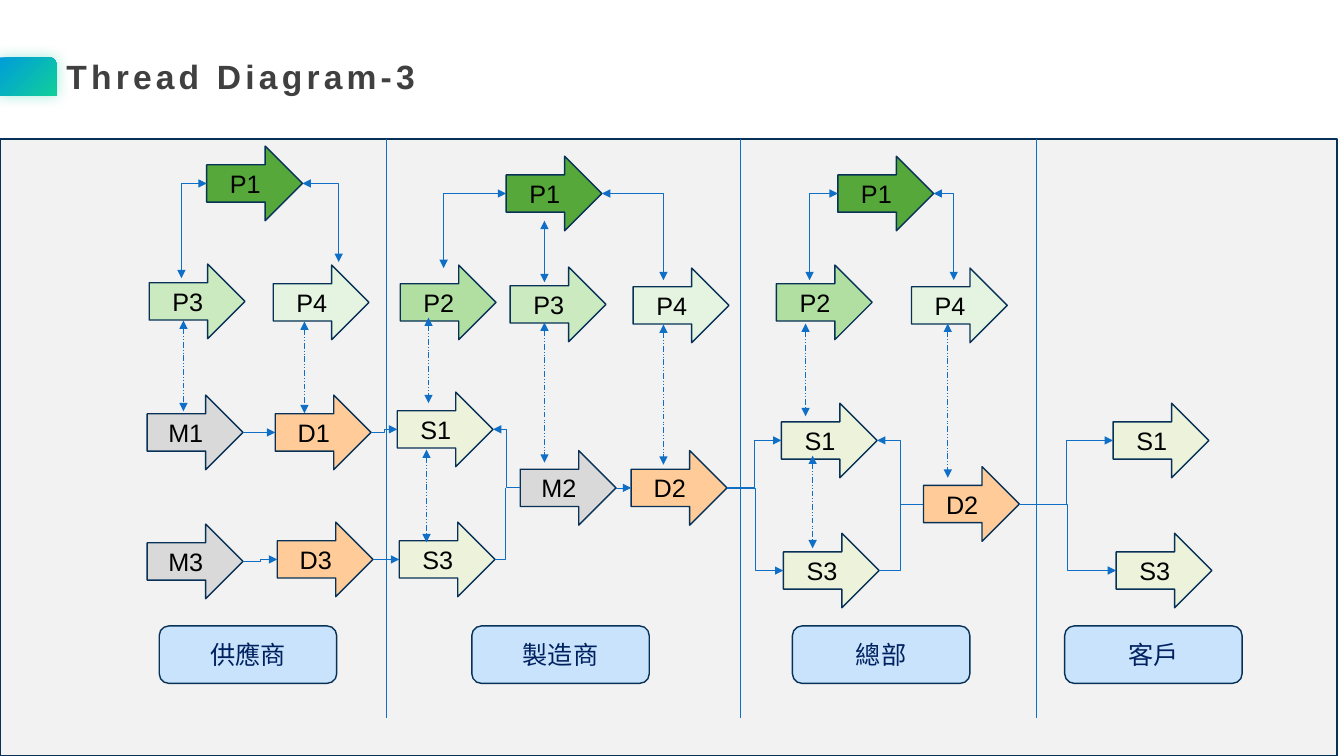
from lxml import etree
from pptx import Presentation
from pptx.dml.color import RGBColor
from pptx.enum.dml import MSO_LINE
from pptx.enum.shapes import MSO_CONNECTOR as Connector, MSO_SHAPE as Preset
from pptx.enum.text import MSO_ANCHOR as Anchor, PP_ALIGN as Align
from pptx.oxml import parse_xml
from pptx.oxml.ns import nsdecls, qn
from pptx.util import Inches, Pt

WHITE_GREY = RGBColor(0xF2, 0xF2, 0xF2)
OUTLINE = RGBColor(0x07, 0x31, 0x57)
FLOW_BLUE = RGBColor(0x0F, 0x6F, 0xC6)
LABEL_FILL = RGBColor(0xC8, 0xE3, 0xFB)
LABEL_TEXT = RGBColor(0x00, 0x20, 0x60)
TITLE_TEXT = RGBColor(0x40, 0x40, 0x40)
BLACK = RGBColor(0, 0, 0)
TAB_GREEN = RGBColor(0x10, 0xCF, 0x9B)
TAB_BLUE = RGBColor(0x00, 0x9D, 0xD9)
GREY = RGBColor(0xD9, 0xD9, 0xD9)
ORANGE = RGBColor(0xFF, 0xCC, 0x99)
LIME = RGBColor(0xED, 0xF3, 0xDB)
PROCESS_FILLS = {
    "P1": RGBColor(0x55, 0xA8, 0x39), "P2": RGBColor(0xB0, 0xDF, 0xA1),
    "P3": RGBColor(0xCB, 0xEA, 0xC0), "P4": RGBColor(0xE5, 0xF4, 0xE0),
    "M1": GREY, "M2": GREY, "M3": GREY,
    "D1": ORANGE, "D2": ORANGE, "D3": ORANGE, "S1": LIME, "S3": LIME,
}
LATIN, CHINESE = "Arial", "Noto Sans CJK SC"
ARROW_SIZE = (0.95, 0.74)
LABEL_SIZE = (1.76, 0.57)
LABEL_TOP = 4.83
LEFT_SITE, RIGHT_SITE = 1, 3
BOARD = (0, 1.38, 13.26, 6.12)

STAGES = [
    {"name": "供應商", "left": 0, "label": 1.58,
     "arrows": {"P1": (2.05, 0.07), "P3": (1.48, 1.24), "P4": (2.71, 1.25), "M1": (1.46, 2.54),
                "D1": (2.73, 2.54), "M3": (1.46, 3.82), "D3": (2.75, 3.8)},
     "branches": [(LEFT_SITE, 1.8, 1.38), (RIGHT_SITE, 3.36, 1.22)],
     "dashed": [(1.82, 1.8, 2.7), (3.02, 1.81, 2.72)]},
    {"name": "製造商", "left": 3.83, "label": 0.85,
     "arrows": {"P1": (1.19, 0.17), "P2": (0.14, 1.25), "P3": (1.23, 1.27), "P4": (2.45, 1.28),
                "S1": (0.11, 2.51), "S3": (0.13, 3.8), "M2": (1.33, 3.09), "D2": (2.43, 3.09)},
     "branches": [(LEFT_SITE, 0.57, 1.28), (RIGHT_SITE, 2.75, 1.4)],
     "solid": [(1.57, 0.81, 1.42)],
     "dashed": [(0.42, 1.77, 2.62), (0.4, 3.08, 4), (1.57, 1.82, 3.21), (2.75, 1.84, 3.23)],
     "merge": (1.18, 3.46)},
    {"name": "總部", "left": 7.34, "label": 0.52,
     "arrows": {"P1": (0.97, 0.17), "P2": (0.36, 1.25), "P4": (1.7, 1.28),
                "S1": (0.41, 2.62), "S3": (0.43, 3.91), "D2": (1.82, 3.25)},
     "branches": [(LEFT_SITE, 0.69, 1.4), (RIGHT_SITE, 2.12, 1.4)],
     "dashed": [(0.65, 1.83, 2.75), (0.72, 3.14, 4.06), (2.06, 1.83, 3.36)],
     "merge": (1.59, 3.62)},
    {"name": "客戶", "left": 10.28, "label": 0.28,
     "arrows": {"S1": (0.76, 2.62), "S3": (0.79, 3.91)}},
]
FORWARD_FLOWS = [
    ((0, "M1"), (0, "D1")), ((0, "M3"), (0, "D3")), ((0, "D1"), (1, "S1")), ((0, "D3"), (1, "S3")),
    ((1, "M2"), (1, "D2")), ((1, "D2"), (2, "S1")), ((1, "D2"), (2, "S3")),
    ((2, "D2"), (3, "S1")), ((2, "D2"), (3, "S3")),
]
RETURN_FLOWS = [((1, "M2"), (1, "S1")), ((2, "D2"), (2, "S1"))]


def set_font(paragraph, size, name, color, bold=False):
    font = paragraph.font
    font.size, font.name, font.bold = Pt(size), name, bold
    font.color.rgb = color
    properties = paragraph._p.pPr.find(qn("a:defRPr"))
    etree.SubElement(properties, qn("a:ea")).set("typeface", name)
    return properties


def add_box(slide, preset, box, fill, text="", font=LATIN, color=BLACK):
    shape = slide.shapes.add_shape(preset, *map(Inches, box))
    shape.shadow.inherit = False
    shape.fill.solid()
    shape.fill.fore_color.rgb = fill
    shape.line.color.rgb = OUTLINE
    shape.line.width = Pt(1)
    if text:
        shape.text_frame.vertical_anchor = Anchor.MIDDLE
        paragraph = shape.text_frame.paragraphs[0]
        paragraph.text = text
        paragraph.alignment = Align.CENTER
        set_font(paragraph, 18, font, color)
    return shape


def add_line(slide, start, end, kind=Connector.STRAIGHT, heads=(), dashed=False):
    connector = slide.shapes.add_connector(kind, *map(Inches, (*start, *end)))
    connector.line.color.rgb = FLOW_BLUE
    connector.line.width = Pt(0.5)
    if dashed:
        connector.line.dash_style = MSO_LINE.DASH_DOT_DOT
    outline = connector._element.spPr.find(qn("a:ln"))
    for head in heads:
        etree.SubElement(outline, qn(f"a:{head}")).set("type", "triangle")
    etree.SubElement(connector._element.spPr, qn("a:effectLst"))
    return connector


def add_corner(slide, arrow, site, end, heads=()):
    start = (arrow.left + (arrow.width if site == RIGHT_SITE else 0), arrow.top + arrow.height // 2)
    connector = add_line(slide, [length / Inches(1) for length in start], end, Connector.ELBOW, heads)
    connector._element.spPr.find(qn("a:prstGeom")).set("prst", "bentConnector2")
    connector.begin_connect(arrow, site)


def add_flow(slide, source, target, source_site, target_site):
    connector = add_line(slide, (0, 0), (1, 1), Connector.ELBOW, ["tailEnd"])
    connector.begin_connect(source, source_site)
    connector.end_connect(target, target_site)


def add_header(slide, left, top):
    tab = slide.shapes.add_shape(Preset.ROUND_1_RECTANGLE, *map(Inches, (left, top, 0.56, 0.38)))
    tab.line.fill.background()
    tab.fill.gradient()
    for stop, color in zip(tab.fill.gradient_stops, (TAB_GREEN, TAB_BLUE)):
        stop.color.rgb = color
    linear = tab._element.spPr.find(".//" + qn("a:lin"))
    linear.getparent().replace(linear, parse_xml(
        f'<a:path {nsdecls("a")} path="circle"><a:fillToRect l="100000" t="100000"/></a:path>'))
    tab._element.spPr.append(parse_xml(
        f'<a:effectLst {nsdecls("a")}><a:outerShdw blurRad="{Pt(10)}" dist="0" dir="0">'
        f'<a:srgbClr val="{TAB_GREEN}"><a:alpha val="40000"/></a:srgbClr></a:outerShdw></a:effectLst>'))

    title = slide.shapes.add_textbox(*map(Inches, (left + 0.56, top - 0.06, 3.74, 0.5)))
    title.text_frame.word_wrap = False
    paragraph = title.text_frame.paragraphs[0]
    paragraph.text = "Thread Diagram-3"
    set_font(paragraph, 24, LATIN, TITLE_TEXT, bold=True).set("spc", "300")


def add_stage(slide, stage, left, top):
    def place(x, y):
        return left + x, top + y

    if stage["left"]:
        add_line(slide, place(0, 0), place(0, 5.74))
    add_box(slide, Preset.ROUNDED_RECTANGLE, (*place(stage["label"], LABEL_TOP), *LABEL_SIZE),
            LABEL_FILL, stage["name"], CHINESE, LABEL_TEXT)
    arrows = {name: add_box(slide, Preset.RIGHT_ARROW, (*place(*offset), *ARROW_SIZE),
                            PROCESS_FILLS[name], name)
              for name, offset in stage["arrows"].items()}
    both = ("headEnd", "tailEnd")
    for site, x, y in stage.get("branches", []):
        add_corner(slide, arrows["P1"], site, place(x, y), both)
    for style in ("solid", "dashed"):
        for x, y_start, y_end in stage.get(style, []):
            add_line(slide, place(x, y_start), place(x, y_end), heads=both, dashed=style == "dashed")
    if "merge" in stage:
        add_corner(slide, arrows["S3"], RIGHT_SITE, place(*stage["merge"]))
    return arrows


def add_board(slide, box):
    left, top = box[:2]
    add_box(slide, Preset.RECTANGLE, box, WHITE_GREY)
    stages = [add_stage(slide, stage, left + stage["left"], top) for stage in STAGES]
    for flows, sites in ((FORWARD_FLOWS, (RIGHT_SITE, LEFT_SITE)), (RETURN_FLOWS, (LEFT_SITE, RIGHT_SITE))):
        for (source_stage, source), (target_stage, target) in flows:
            add_flow(slide, stages[source_stage][source], stages[target_stage][target], *sites)


def main():
    presentation = Presentation()
    presentation.slide_width, presentation.slide_height = Inches(13.33), Inches(7.5)
    slide = presentation.slides.add_slide(presentation.slide_layouts[6])
    add_header(slide, 0, 0.57)
    add_board(slide, BOARD)
    presentation.save("out.pptx")


if __name__ == "__main__":
    main()
